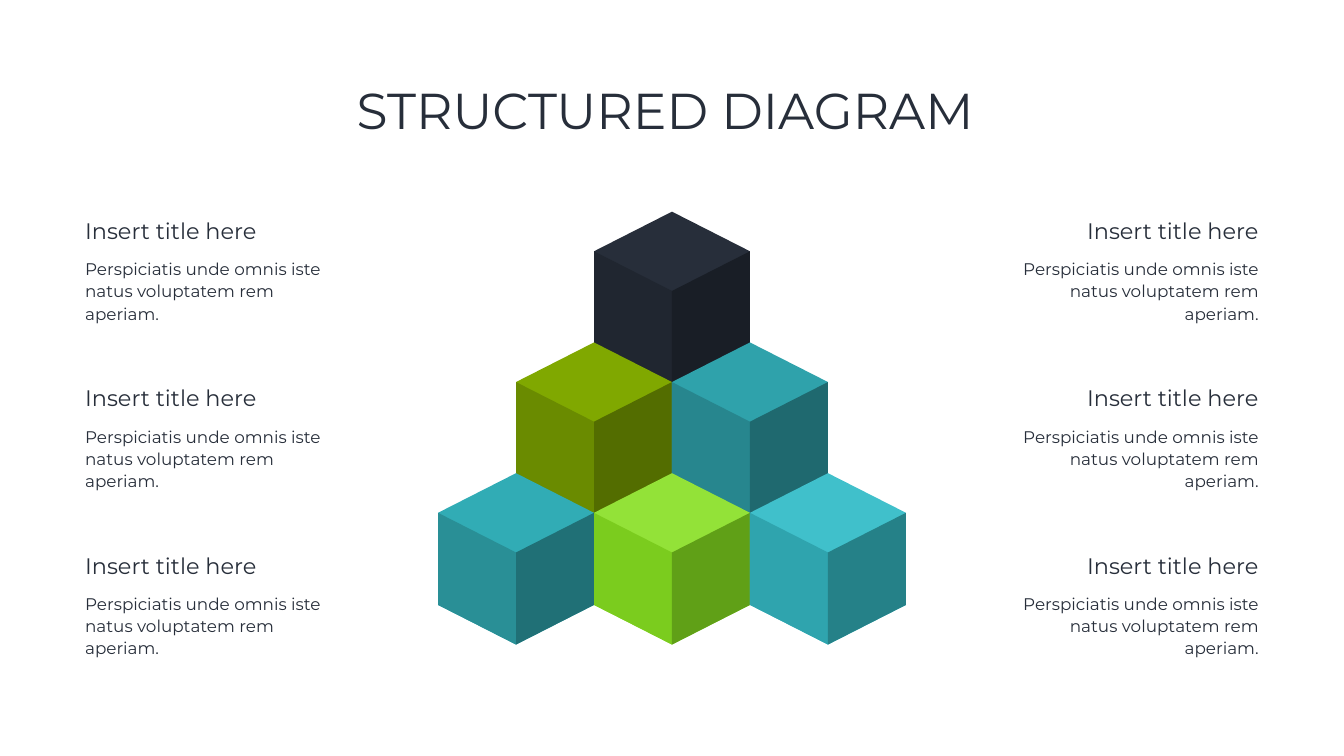
from dataclasses import dataclass

from pptx import Presentation
from pptx import util as u
from pptx.dml.color import RGBColor
from pptx.enum import text


@dataclass(frozen=True)
class Theme:
    font: str = "Montserrat"
    ink: str = "272E3A"
    title_size: int = 72
    heading_size: int = 32
    body_size: int = 24
    navy: tuple = ("272E3A", "202630", "191E26")
    sky: tuple = ("40C0CB", "2FA4AE", "258188")
    teal: tuple = ("2FA2AB", "27868E", "1F696F")
    lime: tuple = ("93E238", "7BCC1E", "60A017")
    olive: tuple = ("80A800", "6A8B00", "536D00")
    aqua: tuple = ("31ACB5", "298F96", "207076")


def apply(target, values):
    for name, value in values.items():
        setattr(target, name, value)


class Page:
    def __init__(self, slide, theme):
        self.slide = slide
        self.theme = theme

    def set_words(self, frame, words, size, frame_format, paragraph_format):
        apply(frame, frame_format)
        line = frame.paragraphs[0]
        line.text = words
        apply(line, paragraph_format)
        apply(line.font, {"name": self.theme.font, "size": u.Pt(size), "bold": False})
        line.font.color.rgb = RGBColor.from_string(self.theme.ink)

    def title(self, words, left, top, width, height):
        heading = self.slide.shapes.title
        apply(heading, {"left": u.Pt(left), "top": u.Pt(top),
                        "width": u.Pt(width), "height": u.Pt(height)})
        self.set_words(heading.text_frame, words, self.theme.title_size,
                       {"vertical_anchor": text.MSO_ANCHOR.MIDDLE, "word_wrap": True,
                        "auto_size": text.MSO_AUTO_SIZE.NONE, "margin_right": u.Pt(27)},
                       {"alignment": text.PP_ALIGN.CENTER, "line_spacing": 0.9})

    def label(self, words, left, top, width, height, size, align, wrap, spacing):
        box = self.slide.shapes.add_textbox(u.Pt(left), u.Pt(top), u.Pt(width), u.Pt(height))
        self.set_words(box.text_frame, words, size,
                       {"word_wrap": wrap, "auto_size": text.MSO_AUTO_SIZE.SHAPE_TO_FIT_TEXT},
                       {"alignment": align, "line_spacing": spacing})

    def face(self, corners, color):
        points = [(u.Pt(x), u.Pt(y)) for x, y in corners]
        builder = self.slide.shapes.build_freeform(*points[0])
        builder.add_line_segments(points[1:], close=True)
        side = builder.convert_to_shape()
        side.shadow.inherit = False
        side.fill.solid()
        side.fill.fore_color.rgb = RGBColor.from_string(color)
        side.line.fill.background()
        return side

    def cube(self, x, y, half, rise, height, colors):
        west, east = x - half, x + half
        shoulder, center = y + rise, y + 2 * rise
        hip, foot = shoulder + height, center + height
        outlines = (
            [(east, shoulder), (east, hip), (x, foot), (west, hip), (west, shoulder), (x, y)],
            [(west, shoulder), (west, hip), (x, foot), (x, center)],
            [(east, shoulder), (x, center), (x, foot), (east, hip)],
        )
        faces = [self.face(corners, color) for corners, color in zip(outlines, colors)]
        self.slide.shapes.add_group_shape(faces)


def main():
    deck = Presentation()
    apply(deck, {"slide_width": u.Pt(1920), "slide_height": u.Pt(1080)})
    theme = Theme()
    page = Page(deck.slides.add_slide(deck.slide_layouts[5]), theme)
    page.title("STRUCTURED DIAGRAM", 132, 57.6, 1656, 208.8)

    half, rise, height = 111.4, 56.6, 131.6
    middle, summit, tier_pitch = 960, 302.4, 186.8
    pyramid = ((theme.navy,), (theme.olive, theme.teal), (theme.aqua, theme.lime, theme.sky))
    for tier, cubes in enumerate(pyramid):
        for place, colors in enumerate(cubes):
            x = middle + (2 * place - tier) * half
            page.cube(x, summit + tier * tier_pitch, half, rise, height, colors)

    left_edge, right_edge = 114.5, 1805
    heading_width, body_width = 261.4, 389.5
    first_top, row_pitch, body_drop = 306.7, 239, 56.9
    for align in (text.PP_ALIGN.LEFT, text.PP_ALIGN.RIGHT):
        for row in range(3):
            top = first_top + row * row_pitch
            for words, width, drop, depth, size, wrap, spacing in (
                ("Insert title here", heading_width, 0, 46,
                 theme.heading_size, False, 1.0),
                ("Perspiciatis unde omnis iste natus voluptatem rem aperiam.",
                 body_width, body_drop, 100.8, theme.body_size, True, 1.1),
            ):
                left = left_edge if align == text.PP_ALIGN.LEFT else right_edge - width
                page.label(words, left, top + drop, width, depth, size, align, wrap, spacing)

    deck.save("out.pptx")


if __name__ == "__main__":
    main()
